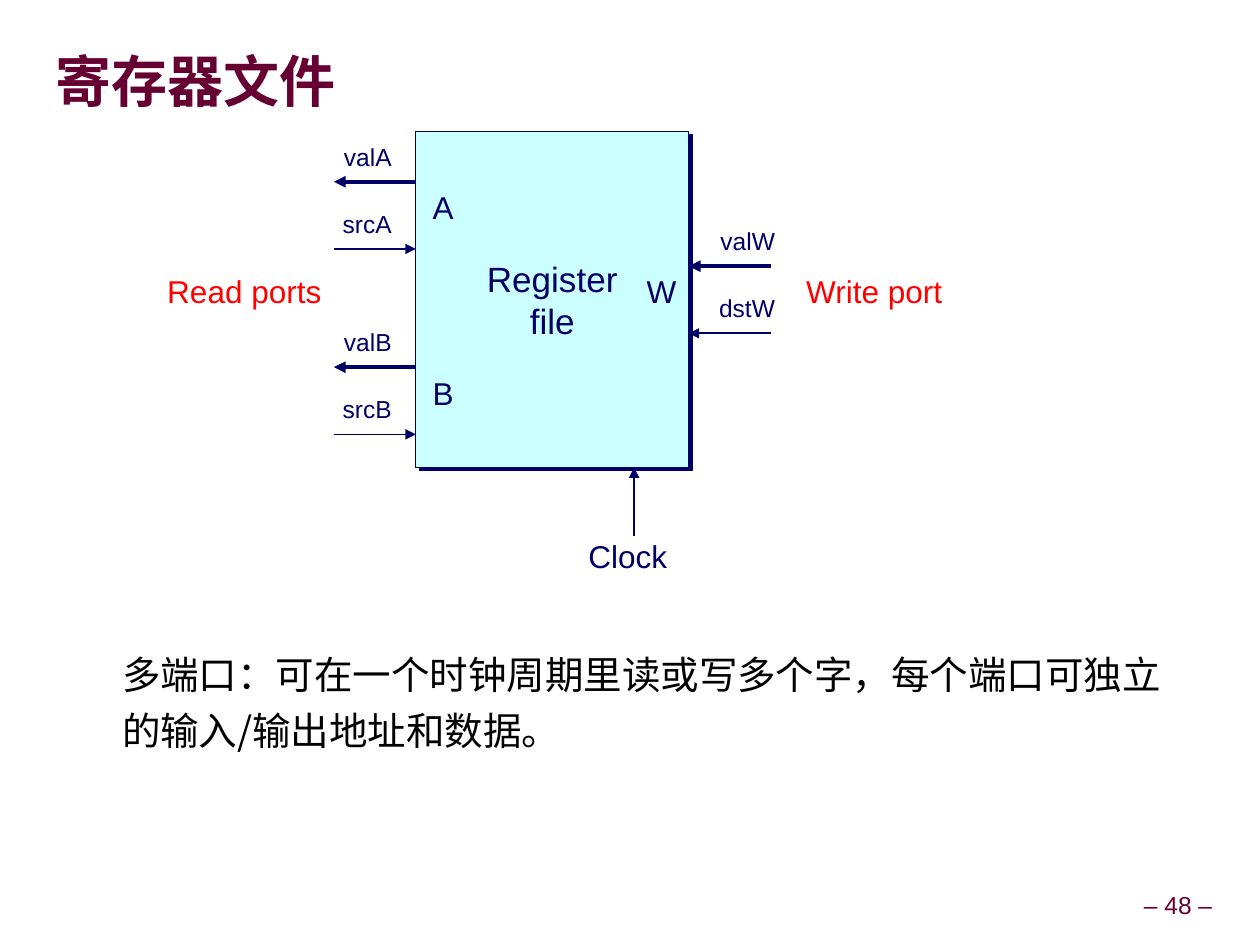
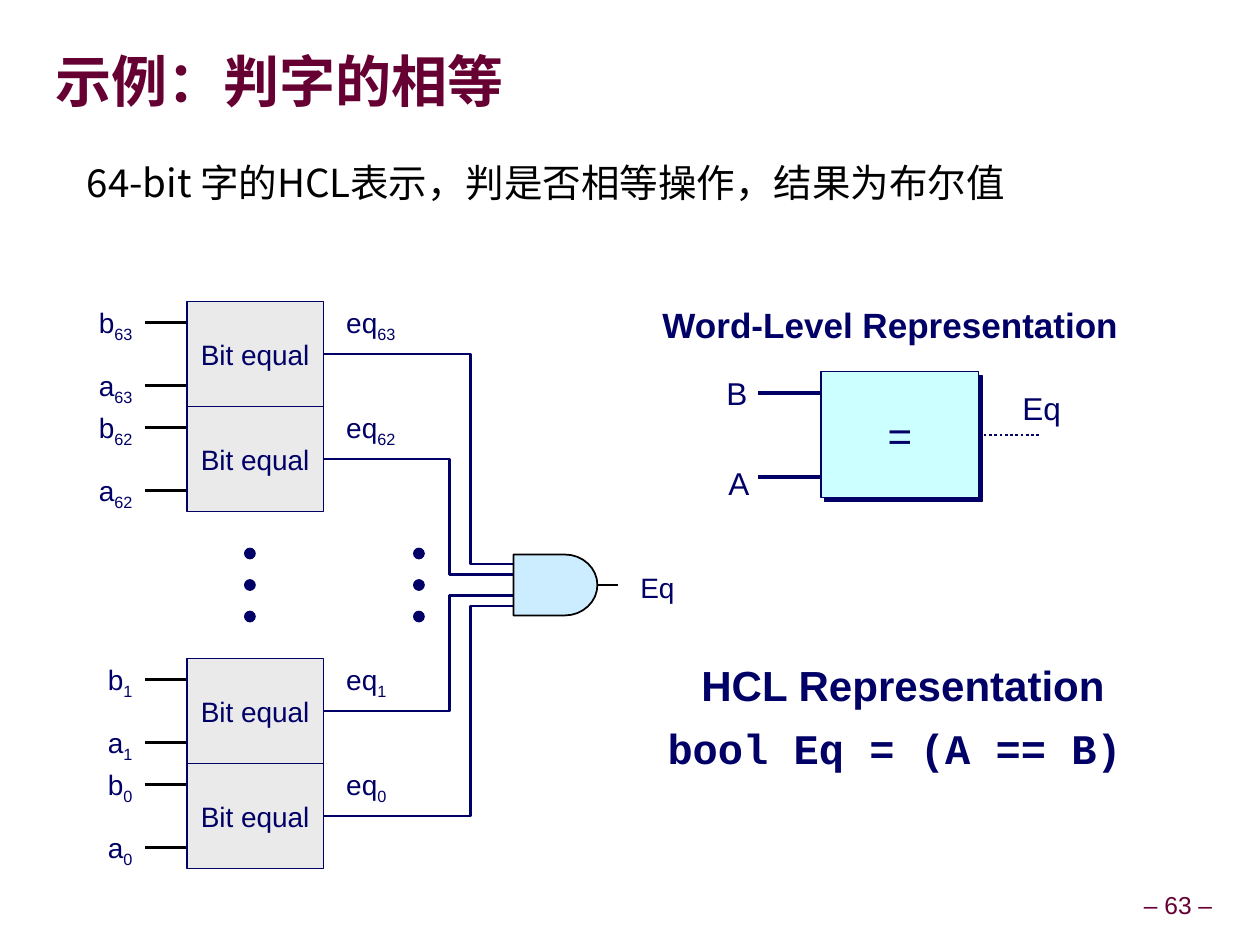
from math import cos, pi, sin

from lxml.etree import SubElement
from pptx import Presentation
from pptx.dml.color import RGBColor
from pptx.enum.dml import MSO_LINE
from pptx.enum.shapes import MSO_CONNECTOR, MSO_SHAPE
from pptx.enum.text import MSO_ANCHOR, PP_ALIGN
from pptx.oxml.ns import qn
from pptx.util import Inches, Pt

rgb = RGBColor.from_string
NAVY, WINE, RED, BLACK = "000066", "660033", "FF0000", "000000"
CYAN, GREY, SKY = "CCFFFF", "EAEAEA", "CCECFF"
CJK = "Noto Sans CJK SC"
LEFT, CENTER, RIGHT = PP_ALIGN.LEFT, PP_ALIGN.CENTER, PP_ALIGN.RIGHT

prs = Presentation()
prs.slide_width, prs.slide_height = Inches(9.99), Inches(7.49)
# Every place and length below counts square cells, 60 to the slide's width.
CELL = prs.slide_width / 60


def write(shape, text, size, align=CENTER, ink=NAVY, face="Arial", bold=False,
          spacing=1.0, anchor=MSO_ANCHOR.MIDDLE, margins=(0.1, 0.05)):
    """Fill a shape with text: a line break starts a paragraph, "_" a subscript."""
    frame = shape.text_frame
    side, edge = map(Inches, margins)
    layout = dict(word_wrap=True, vertical_anchor=anchor, margin_left=side,
                  margin_right=side, margin_top=edge, margin_bottom=edge)
    for name, value in layout.items():
        setattr(frame, name, value)
    for number, line in enumerate(text.split("\n")):
        paragraph = frame.add_paragraph() if number else frame.paragraphs[0]
        paragraph.alignment, paragraph.line_spacing = align, spacing
        paragraph.space_before = Pt(0)
        for part, piece in enumerate(line.split("_")):
            run = paragraph.add_run()
            run.text = piece
            for name, value in dict(size=Pt(size), bold=bold, name=face).items():
                setattr(run.font, name, value)
            run.font.color.rgb = rgb(ink)
            properties = run.font._element
            SubElement(properties, qn("a:ea"), typeface=face)
            if part:
                properties.set("baseline", "-25000")


def connect(slide, x1, y1, x2, y2, width, ink=NAVY, arrow=False, dash=None):
    ends = [round(n * CELL) for n in (x1, y1, x2, y2)]
    link = slide.shapes.add_connector(MSO_CONNECTOR.STRAIGHT, *ends)
    link.line.color.rgb, link.line.width = rgb(ink), Pt(width)
    if dash:
        link.line.dash_style = dash
    properties = link._element.spPr
    if arrow:
        SubElement(properties.find(qn("a:ln")), qn("a:tailEnd"), type="triangle")
    SubElement(properties, qn("a:effectLst"))


# Shared title and page number
pages = []
labels = []  # slide, text, (left, top, width, height), size, format
for heading, page_number in (("寄存器文件", 48), ("示例：判字的相等", 63)):
    slide = prs.slides.add_slide(prs.slide_layouts[5])
    title = slide.shapes.title
    title.left, title.top, title.width, title.height = (
        round(n * CELL) for n in (2.64, 1.62, 55.86, 4.86))
    write(title, heading, 32, LEFT, WINE, CJK, bold=True, spacing=0.87, margins=(0, 0))
    labels.append((slide, f"– {page_number} –", (53.1, 42.2, 6, 1.9), 14,
                   dict(ink=WINE, spacing=0.9)))
    pages.append(slide)
registers, equality = pages
body = dict(align=LEFT, ink=BLACK, face=CJK, spacing=1.2, anchor=MSO_ANCHOR.TOP)
heading_format = dict(bold=True, spacing=0.9)

# Register file: each port has a value line and an address line
file_left, file_top, file_width, file_height = 19.8, 6.25, 13, 16
file_right = file_left + file_width
port_length, line_gap = 3.9, 3.2
solids = [(registers, MSO_SHAPE.RECTANGLE,
           (file_left, file_top, file_width, file_height), CYAN, "Register\nfile", 20)]
for port, top, address in (("A", 8.65, "src"), ("B", 17.48, "src"), ("W", 12.67, "dst")):
    writing = port == "W"
    inner = file_right if writing else file_left
    outer = inner + port_length if writing else inner - port_length
    label_right = outer + 0.8 if writing else inner - 0.55
    for y, signal, width in ((top, "val", 2.25), (top + line_gap, address, 1)):
        outward = signal == "val" and not writing
        start, end = (inner, outer) if outward else (outer, inner)
        connect(registers, start, y, end, y, width, arrow=True)
        labels.append((registers, signal + port, (label_right - 4, y - 2.3, 4, 2.2), 14,
                       dict(align=RIGHT)))
    port_left = file_right - 2.6 if writing else file_left
    labels.append((registers, port, (port_left, top, 2.6, 2.4), 18, {}))

connect(registers, 30.2, 25.5, 30.2, file_top + file_height, 1, arrow=True)
labels += [
    (registers, "Read ports", (5.5, 12.67, 10.4, 2.4), 18, dict(align=RIGHT, ink=RED)),
    (registers, "Write port", (37.8, 12.67, 9, 2.4), 18, dict(align=LEFT, ink=RED)),
    (registers, "Clock", (26.9, 25.5, 6, 2.2), 18, dict(spacing=0.9)),
    (registers, "多端口：可在一个时钟周期里读或写多个字，每个端口可独立的输入/输出地址和数据。",
     (5.22, 30.27, 51.2, 8.2), 22, body),
]

# Bit comparators wired to the AND gate
block_left, block_width, block_height = 8.9, 6.5, 5
gate_left, gate_middle, gate_half = 24.45, 27.85, 1.45
block_right = block_left + block_width
outlines = []  # points, fill, line colour, line width, closed
for bit, top, turn, entry in ((63, 14.35, 22.4, -1), (62, 19.35, 21.4, -0.5),
                              (1, 31.35, 21.4, 0.5), (0, 36.35, 22.4, 1)):
    solids.append((equality, MSO_SHAPE.RECTANGLE,
                   (block_left, top, block_width, block_height), GREY, "Bit equal", 16))
    for operand, row in (("b", top), ("a", top + 3)):
        connect(equality, block_left - 2, row + 1, block_left, row + 1, 1.5, BLACK)
        labels.append((equality, f"{operand}_{bit}", (block_left - 6, row, 4, 2.2), 16,
                       dict(align=RIGHT)))
    labels.append((equality, f"eq_{bit}", (block_right + 0.5, top, 4, 2.2), 16,
                   dict(align=LEFT)))
    middle, gate_input = top + block_height / 2, gate_middle + entry
    outlines.append(([(block_right, middle), (turn, middle), (turn, gate_input),
                      (gate_left, gate_input)], None, NAVY, 1.5, False))

for dot_left in (11.65, 19.7):
    for step in range(3):
        solids.append((equality, MSO_SHAPE.OVAL,
                       (dot_left, 26.1 + 1.5 * step, 0.5, 0.5), NAVY, "", 16))

arc_left, arc_width, arc_steps = gate_left + 2.45, 1.55, 16
angles = [pi * (step / arc_steps - 0.5) for step in range(arc_steps + 1)]
arc = [(arc_left + arc_width * cos(a), gate_middle + gate_half * sin(a)) for a in angles]
corners = [(gate_left, gate_middle + gate_half), (gate_left, gate_middle - gate_half)]
outlines.append((arc + corners, SKY, BLACK, 1, True))
gate_right = arc_left + arc_width
connect(equality, gate_right, gate_middle, gate_right + 1, gate_middle, 1.5, BLACK)

# Word-level comparator
word_left, word_top, word_width, word_height = 39.1, 17.7, 7.5, 6
word_right, word_middle = word_left + word_width, word_top + word_height / 2
solids.append((equality, MSO_SHAPE.RECTANGLE,
               (word_left, word_top, word_width, word_height), CYAN, "=", 24))
for y in (word_top + 1, word_top + 5):
    connect(equality, word_left - 3, y, word_left, y, 2.25)
connect(equality, word_right, word_middle, word_right + 3, word_middle, 1.5,
        dash=MSO_LINE.ROUND_DOT)

labels += [
    (equality, "64-bit 字的HCL表示，判是否相等操作，结果为布尔值",
     (3.54, 6.85, 47.4, 8.8), 22, body),
    (equality, "Eq", (29.9, 26.85, 4, 2.2), 16, dict(align=LEFT)),
    (equality, "B", (34, 17.5, 2.4, 2.4), 18, dict(align=LEFT)),
    (equality, "A", (34.1, 21.8, 2.4, 2.4), 18, dict(align=LEFT)),
    (equality, "Eq", (48.1, 18.2, 4, 2.4), 18, dict(align=LEFT)),
    (equality, "Word-Level Representation", (30.4, 14.35, 24, 2.4), 20, heading_format),
    (equality, "HCL Representation", (31, 31.35, 24, 2.8), 24, heading_format),
    (equality, "bool Eq = (A == B)", (30.6, 34.35, 24, 2.8), 24,
     dict(heading_format, face="Courier New")),
]

# Draw the collected parts
for points, fill, ink, width, closed in outlines:
    first, *rest = [(round(x * CELL), round(y * CELL)) for x, y in points]
    builder = equality.shapes.build_freeform(*first)
    builder.add_line_segments(rest, close=closed)
    outline = builder.convert_to_shape()
    outline.shadow.inherit = False
    outline.line.color.rgb, outline.line.width = rgb(ink), Pt(width)
    if fill:
        outline.fill.solid()
        outline.fill.fore_color.rgb = rgb(fill)
    else:
        outline.fill.background()

for slide, preset, box, fill, text, size in solids:
    solid = slide.shapes.add_shape(preset, *(round(n * CELL) for n in box))
    solid.shadow.inherit = False
    solid.fill.solid()
    solid.fill.fore_color.rgb = rgb(fill)
    solid.line.color.rgb, solid.line.width = rgb(NAVY), Pt(0.75)
    if fill == CYAN:
        effects = solid._element.spPr.find(qn("a:effectLst"))
        shadow = SubElement(effects, qn("a:outerShdw"), blurRad="0", dist=str(Pt(2.8)),
                            dir="2700000", algn="ctr", rotWithShape="0")
        SubElement(shadow, qn("a:srgbClr"), val=NAVY)
    if text:
        write(solid, text, size, margins=(0, 0))

for slide, text, box, size, style in labels:
    label = slide.shapes.add_textbox(*(round(n * CELL) for n in box))
    write(label, text, size, **style)

prs.save("out.pptx")
